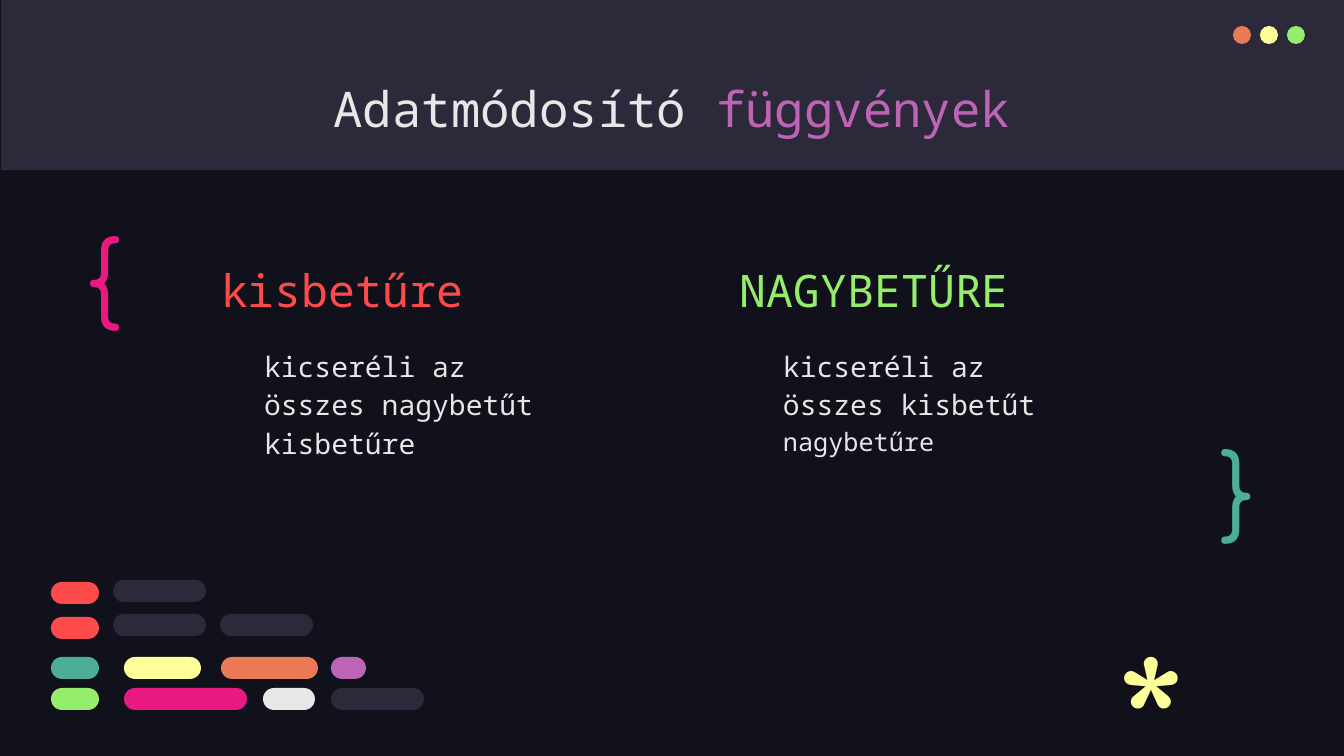
from pptx import Presentation
from pptx.dml.color import RGBColor
from pptx.enum.shapes import MSO_SHAPE
from pptx.enum.text import MSO_ANCHOR, PP_ALIGN
from pptx.util import Pt

PX = 914400 / 100.8
RECT, OVAL, PILL = MSO_SHAPE.RECTANGLE, MSO_SHAPE.OVAL, MSO_SHAPE.ROUNDED_RECTANGLE
TOP, MIDDLE, BOTTOM = MSO_ANCHOR.TOP, MSO_ANCHOR.MIDDLE, MSO_ANCHOR.BOTTOM
LEFT, CENTER = PP_ALIGN.LEFT, PP_ALIGN.CENTER
MONO, ROUND = "Noto Sans Mono", "Comfortaa"

NIGHT = RGBColor(0x10, 0x11, 0x1A)
SLATE = RGBColor(0x2C, 0x29, 0x3A)
ORANGE = RGBColor(0xEC, 0x79, 0x55)
YELLOW = RGBColor(0xFF, 0xFF, 0x99)
GREEN = RGBColor(0x94, 0xEE, 0x6B)
LIGHT = RGBColor(0xE7, 0xE7, 0xE7)
PURPLE = RGBColor(0xBD, 0x64, 0xB5)
RED = RGBColor(0xFD, 0x4A, 0x4A)
PINK = RGBColor(0xE8, 0x1A, 0x81)
TEAL = RGBColor(0x4C, 0xAE, 0x97)

PILL_HEIGHT = 22
PILL_ROWS = [
    (580, [(113, 93, SLATE)]),
    (582, [(51, 48, RED)]),
    (614, [(113, 93, SLATE), (220, 93, SLATE)]),
    (617, [(51, 48, RED)]),
    (657, [(51, 48, TEAL), (124, 77, YELLOW), (221, 97, ORANGE), (331, 35, PURPLE)]),
    (688, [(51, 48, GREEN), (124, 123, PINK), (263, 52, LIGHT), (331, 93, SLATE)]),
]


def px(length):
    return round(length * PX)


def add_filled(page, kind, left, top, width, height, color):
    shape = page.shapes.add_shape(kind, px(left), px(top), px(width), px(height))
    shape.shadow.inherit = False
    shape.fill.solid()
    shape.fill.fore_color.rgb = color
    shape.line.fill.background()
    return shape


def add_text(page, area, spans, font=MONO, anchor=TOP, align=LEFT, spacing=1.0):
    box = page.shapes.add_textbox(*map(px, area))
    frame = box.text_frame
    frame.word_wrap = True
    frame.vertical_anchor = anchor
    frame.margin_left = frame.margin_right = px(13)
    frame.margin_top = frame.margin_bottom = px(13)
    para = frame.paragraphs[0]
    para.alignment = align
    para.line_spacing = spacing
    for text, size, color in spans:
        span = para.add_run()
        span.text = text
        span.font.name = font
        span.font.size = Pt(size)
        span.font.color.rgb = color


def add_header(page):
    add_filled(page, RECT, 1, 0, 1344, 170, SLATE)
    for index, color in enumerate((ORANGE, YELLOW, GREEN)):
        add_filled(page, OVAL, 1233 + 27 * index, 26, 18, 18, color)
    title = [("Adatmódosító ", 35, LIGHT), ("függvények", 35, PURPLE)]
    add_text(page, (106, 66, 1132, 85), title, align=CENTER)


def add_column(page, left, heading, color, body_width, body):
    add_text(page, (left, 248, 410, 82), [(heading, 32, color)], anchor=BOTTOM, spacing=1.15)
    add_text(page, (left + 43, 331, body_width, 218), body, spacing=1.15)


def add_code_pills(page):
    for top, pills in PILL_ROWS:
        for left, width, color in pills:
            pill = add_filled(page, PILL, left, top, width, PILL_HEIGHT, color)
            pill.adjustments[0] = 0.5


def main():
    deck = Presentation()
    deck.slide_width, deck.slide_height = px(1344), px(756)
    page = deck.slides.add_slide(deck.slide_layouts[6])
    page.background.fill.solid()
    page.background.fill.fore_color.rgb = NIGHT

    add_header(page)
    add_column(page, 208, "kisbetűre", RED, 323,
               [("kicseréli az összes nagybetűt kisbetűre", 20, LIGHT)])
    add_column(page, 727, "NAGYBETŰRE", GREEN, 334,
               [("kicseréli az összes kisbetűt ", 20, LIGHT), ("nagybetűre", 18, LIGHT)])
    add_text(page, (73, 203, 104, 128), [("{", 66.7, PINK)], font=ROUND)
    add_text(page, (1208, 429, 77, 112), [("}", 66.7, TEAL)], font=ROUND, anchor=MIDDLE)
    add_code_pills(page)
    add_text(page, (1104, 605, 77, 116), [("*", 128, YELLOW)], font=ROUND)
    deck.save("out.pptx")


if __name__ == "__main__":
    main()
